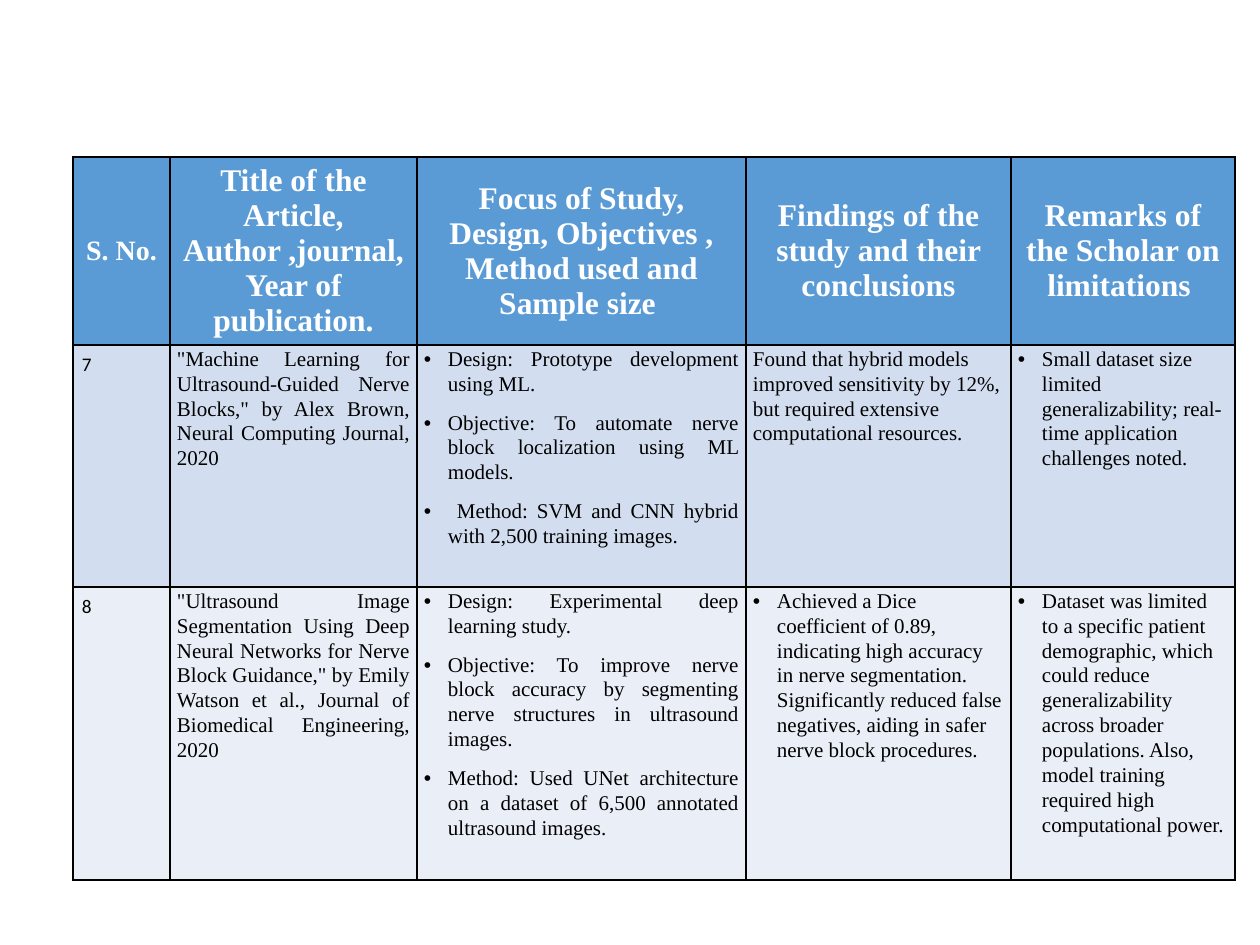
"""Build a literature review slide with one table of studies."""
import lxml.etree
import pptx
import pptx.dml.color
import pptx.enum.text
import pptx.oxml.ns
import pptx.util
from dataclasses import dataclass

HEADERS = [
    ["S. No."],
    ["Title of the Article,", "Author ,journal,Year of publication."],
    ["Focus of Study, Design, Objectives , Method used and Sample size "],
    ["Findings of the study and their conclusions"],
    ["Remarks of the Scholar on limitations "],
]
STUDIES = [
    {
        "number": "7",
        "title": '"Machine Learning for Ultrasound-Guided Nerve Blocks," by Alex Brown, '
                 'Neural Computing Journal, 2020',
        "focus": [
            "Design: Prototype development using ML. ",
            "Objective: To automate nerve block localization using ML models.",
            " Method: SVM and CNN hybrid with 2,500 training images.",
        ],
        "findings": "Found that hybrid models improved sensitivity by 12%, but required "
                    "extensive computational resources.",
        "remarks": ["Small dataset size limited generalizability; real-time application "
                    "challenges noted."],
    },
    {
        "number": "8",
        "title": '"Ultrasound Image Segmentation Using Deep Neural Networks for Nerve Block '
                 'Guidance," by Emily Watson et al., Journal of Biomedical Engineering, 2020',
        "focus": [
            "Design: Experimental deep learning study. ",
            "Objective: To improve nerve block accuracy by segmenting nerve structures in "
            "ultrasound images. ",
            "Method: Used UNet architecture on a dataset of 6,500 annotated ultrasound images.",
        ],
        "findings": ["Achieved a Dice coefficient of 0.89, indicating high accuracy in nerve "
                     "segmentation. Significantly reduced false negatives, aiding in safer "
                     "nerve block procedures."],
        "remarks": ["Dataset was limited to a specific patient demographic, which could reduce "
                    "generalizability across broader populations. Also, model training "
                    "required high computational power."],
    },
]
SLIDE_SIZE = (1260, 945)
TABLE_ORIGIN = (73, 157)
COLUMN_WIDTHS = [97, 247, 329, 265, 224]
ROW_HEIGHTS = [188, 242, 293]
WIDE_MARGINS = (9, 6, 9, 6)
TIGHT_MARGINS = (7, 1, 7, 0)
BULLET_INDENT = 24
EMU_PER_PX = 914400 / 126
ALIGN = pptx.enum.text.PP_ALIGN
ANCHOR = pptx.enum.text.MSO_ANCHOR


@dataclass(frozen=True)
class Theme:
    serif: str = "Times New Roman"
    sans: str = "Calibri"
    header_fill: str = "5B9BD5"
    header_text: str = "FFFFFF"
    body_text: str = "000000"
    border: str = "000000"
    bands: tuple = ("D2DEEF", "EAEFF7")
    header_size: int = 18
    number_header_size: int = 16
    body_size: int = 12
    number_size: int = 11
    border_width: int = 1


THEME = Theme()


def px(length):
    return pptx.util.Emu(round(length * EMU_PER_PX))


def rgb(value):
    return pptx.dml.color.RGBColor.from_string(value)


def add_element(parent, tag, **attributes):
    return lxml.etree.SubElement(parent, pptx.oxml.ns.qn(tag), attributes)


def style_cell(cell, fill, margins, anchor):
    cell.margin_left, cell.margin_top, cell.margin_right, cell.margin_bottom = map(px, margins)
    cell.vertical_anchor = anchor
    properties = cell._tc.get_or_add_tcPr()
    width = str(pptx.util.Pt(THEME.border_width))
    for side in ("a:lnL", "a:lnR", "a:lnT", "a:lnB"):
        line = add_element(properties, side, w=width)
        add_element(add_element(line, "a:solidFill"), "a:srgbClr", val=THEME.border)
    cell.fill.solid()
    cell.fill.fore_color.rgb = rgb(fill)


def add_bullet(paragraph):
    properties = paragraph._p.get_or_add_pPr()
    properties.set("marL", str(px(BULLET_INDENT)))
    properties.set("indent", str(px(-BULLET_INDENT)))
    add_element(properties, "a:buFont", typeface="Arial")
    add_element(properties, "a:buChar", char="•")


def write_cell(cell, texts, font_name, size, color, alignment, bold=False, spaced=True,
               bulleted=False):
    frame = cell.text_frame
    for index, text in enumerate(texts):
        paragraph = frame.add_paragraph() if index else frame.paragraphs[0]
        paragraph.alignment = alignment
        if spaced:
            paragraph.line_spacing = 1.07
            paragraph.space_after = pptx.util.Pt(8)
        if bulleted:
            add_bullet(paragraph)
        run = paragraph.add_run()
        run.text = text
        run.font.name = font_name
        run.font.size = pptx.util.Pt(size)
        run.font.bold = bold
        run.font.color.rgb = rgb(color)


def fill_header(table):
    for column, texts in enumerate(HEADERS):
        cell = table.cell(0, column)
        size = THEME.header_size if column else THEME.number_header_size
        style_cell(cell, THEME.header_fill, WIDE_MARGINS, ANCHOR.MIDDLE)
        write_cell(cell, texts, THEME.serif, size, THEME.header_text, ALIGN.CENTER,
                   bold=True, spaced=False)


def fill_study(table, row, study):
    fill = THEME.bands[(row - 1) % len(THEME.bands)]
    for column, (field, content) in enumerate(study.items()):
        cell = table.cell(row, column)
        is_number = field == "number"
        bulleted = isinstance(content, list)
        style_cell(cell, fill, WIDE_MARGINS if is_number else TIGHT_MARGINS, ANCHOR.TOP)
        write_cell(
            cell,
            content if bulleted else [content],
            THEME.sans if is_number else THEME.serif,
            THEME.number_size if is_number else THEME.body_size,
            THEME.body_text,
            ALIGN.JUSTIFY if field in ("title", "focus") else ALIGN.LEFT,
            bulleted=bulleted,
        )


def main():
    presentation = pptx.Presentation()
    presentation.slide_width, presentation.slide_height = map(px, SLIDE_SIZE)
    slide = presentation.slides.add_slide(presentation.slide_layouts[6])
    size = (sum(COLUMN_WIDTHS), sum(ROW_HEIGHTS))
    table = slide.shapes.add_table(
        len(ROW_HEIGHTS), len(COLUMN_WIDTHS), *map(px, TABLE_ORIGIN + size)
    ).table
    table.horz_banding = False
    for column, width in zip(table.columns, COLUMN_WIDTHS):
        column.width = px(width)
    for row, height in zip(table.rows, ROW_HEIGHTS):
        row.height = px(height)
    fill_header(table)
    for row, study in enumerate(STUDIES, start=1):
        fill_study(table, row, study)
    presentation.save("out.pptx")


if __name__ == "__main__":
    main()
